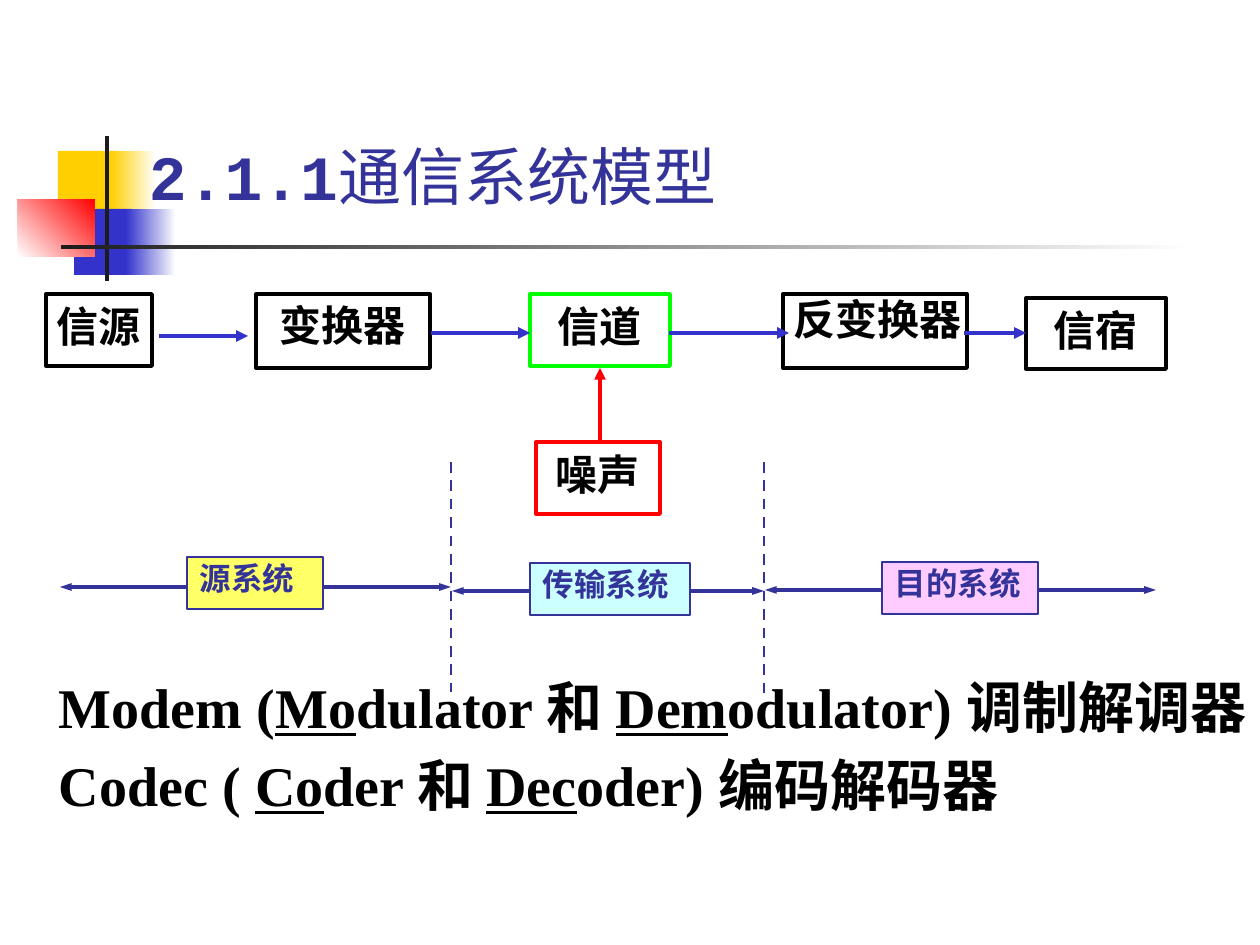
from lxml import etree
from pptx import Presentation, util as u
from pptx.dml.color import RGBColor
from pptx.enum import dml, shapes, text
from pptx.oxml import ns

COLORS = {
    "black": "000000", "white": "FFFFFF", "ink": "1C1C1C", "navy": "333399",
    "blue": "3333CC", "red": "FF0000", "green": "00FF00", "gold": "FFCF01",
    "yellow": "FFFF66", "pink": "FFCCFF", "cyan": "CCFFFF",
}


def px(length):
    return u.Emu(round(length * 914400 / 126))


def rgb(name):
    return RGBColor.from_string(COLORS[name])


class Canvas:
    """Draws styled elements on the current slide."""

    font = "Times New Roman"

    def __init__(self, slide):
        self.slide = slide

    def style_run(self, run, size, color, font=None, bold=True, underline=False):
        run.font.size = u.Pt(size)
        run.font.name = font or self.font
        run.font.bold = bold
        run.font.underline = underline
        run.font.color.rgb = rgb(color)

    def set_frame(self, frame, insets, wrap, anchor=text.MSO_ANCHOR.TOP):
        frame.margin_left, frame.margin_top, frame.margin_right, frame.margin_bottom = map(px, insets)
        frame.word_wrap = wrap
        frame.vertical_anchor = anchor

    def rectangle(self, box, fill=None, line=None, width=2.25):
        shape = self.slide.shapes.add_shape(shapes.MSO_SHAPE.RECTANGLE, *map(px, box))
        shape.shadow.inherit = False
        if fill:
            shape.fill.solid()
            shape.fill.fore_color.rgb = rgb(fill)
        else:
            shape.fill.background()
        if line:
            shape.line.color.rgb = rgb(line)
            shape.line.width = u.Pt(width)
        else:
            shape.line.fill.background()
        return shape

    def gradient(self, box, start, end, angle=0):
        fill = self.rectangle(box).fill
        fill.gradient()
        fill.gradient_angle = angle
        for stop, name in zip(fill.gradient_stops, (start, end)):
            stop.color.rgb = rgb(name)

    def block(self, box, label, line="black", insets=(0, 6, 0, 6)):
        frame = self.rectangle(box, line=line).text_frame
        self.set_frame(frame, insets, False)
        frame.text = label
        paragraph = frame.paragraphs[0]
        paragraph.alignment = text.PP_ALIGN.CENTER
        self.style_run(paragraph.runs[0], 24, "black")

    def system(self, box, label, fill):
        frame = self.rectangle(box, fill, "navy", 1).text_frame
        self.set_frame(frame, (13, 6, 13, 6), True)
        frame.text = label
        paragraph = frame.paragraphs[0]
        paragraph.alignment = text.PP_ALIGN.LEFT
        paragraph.line_spacing = 0.9
        paragraph.space_before = u.Pt(3.6)
        self.style_run(paragraph.runs[0], 18, "navy")

    def line(self, start, end, color, width=2.25, dashed=False, ends=(), head_width="med"):
        connector = self.slide.shapes.add_connector(
            shapes.MSO_CONNECTOR.STRAIGHT, *map(px, start + end))
        connector.line.color.rgb = rgb(color)
        connector.line.width = u.Pt(width)
        if dashed:
            connector.line.dash_style = dml.MSO_LINE.DASH
        outline = connector.line._get_or_add_ln()
        for tag in ends:
            etree.SubElement(outline, ns.qn(f"a:{tag}"), type="triangle", w=head_width, len="med")
        etree.SubElement(connector._element.spPr, ns.qn("a:effectLst"))

    def textbox(self, box, anchor=text.MSO_ANCHOR.TOP):
        frame = self.slide.shapes.add_textbox(*map(px, box)).text_frame
        self.set_frame(frame, (13, 6, 13, 6), True, anchor)
        return frame

    def title(self, box, number, words):
        paragraph = self.textbox(box, text.MSO_ANCHOR.BOTTOM).paragraphs[0]
        for content, font, bold in ((number, "Courier New", True), (words, "Cabin", False)):
            run = paragraph.add_run()
            run.text = content
            self.style_run(run, 36, "navy", font, bold)

    def definitions(self, box, rows):
        frame = self.textbox(box)
        for index, parts in enumerate(rows):
            paragraph = frame.add_paragraph() if index else frame.paragraphs[0]
            paragraph.space_before = u.Pt(6.4 if index else 0)
            for position, part in enumerate(parts):
                run = paragraph.add_run()
                run.text = part
                self.style_run(run, 32, "black", underline=position % 2 == 1)


def main():
    presentation = Presentation()
    presentation.slide_width, presentation.slide_height = u.Inches(10), u.Inches(7.5)
    canvas = Canvas(presentation.slides.add_slide(presentation.slide_layouts[6]))

    canvas.rectangle((58, 151, 60, 66), "gold")
    canvas.gradient((111, 151, 45, 66), "gold", "white")
    canvas.rectangle((74, 209, 58, 66), "blue")
    canvas.gradient((126, 209, 50, 66), "blue", "white")
    canvas.gradient((18, 199, 77, 58), "white", "red", 45)
    canvas.rectangle((105, 136, 4, 145), "ink")
    canvas.gradient((61, 245, 1134, 4), "ink", "white")
    canvas.title((136, 106, 1071, 113), "2.1.1", "通信系统模型")

    canvas.line((600, 443), (600, 368), "red", ends=("tailEnd",))
    canvas.block((46, 294, 106, 72), "信源")
    canvas.block((256, 294, 174, 74), "变换器")
    canvas.block((530, 294, 140, 72), "信道", "green")
    canvas.block((783, 294, 184, 74), "反变换器", insets=(5, 0, 0, 0))
    canvas.block((1026, 298, 140, 71), "信宿")
    canvas.block((536, 442, 124, 72), "噪声", "red")
    for left, right, y in ((159, 248, 336), (431, 530, 333), (669, 789, 333), (964, 1026, 333)):
        canvas.line((left, y), (right, y), "blue", ends=("tailEnd",))

    for x, bottom in ((451, 692), (764, 700)):
        canvas.line((x, 462), (x, bottom), "navy", 1.5, dashed=True)
    for left, right, y, box, label, fill in (
        (60, 451, 587, (187, 557, 136, 52), "源系统", "yellow"),
        (452, 764, 591, (530, 563, 160, 52), "传输系统", "cyan"),
        (765, 1156, 590, (882, 562, 156, 52), "目的系统", "pink"),
    ):
        canvas.line((left, y), (right, y), "navy", ends=("headEnd", "tailEnd"), head_width="sm")
        canvas.system(box, label, fill)

    canvas.definitions((46, 666, 1224, 230), (
        ("Modem (", "Mo", "dulator 和 ", "Dem", "odulator) 调制解调器"),
        ("Codec ( ", "Co", "der 和 ", "Dec", "oder) 编码解码器"),
    ))
    presentation.save("out.pptx")


if __name__ == "__main__":
    main()
